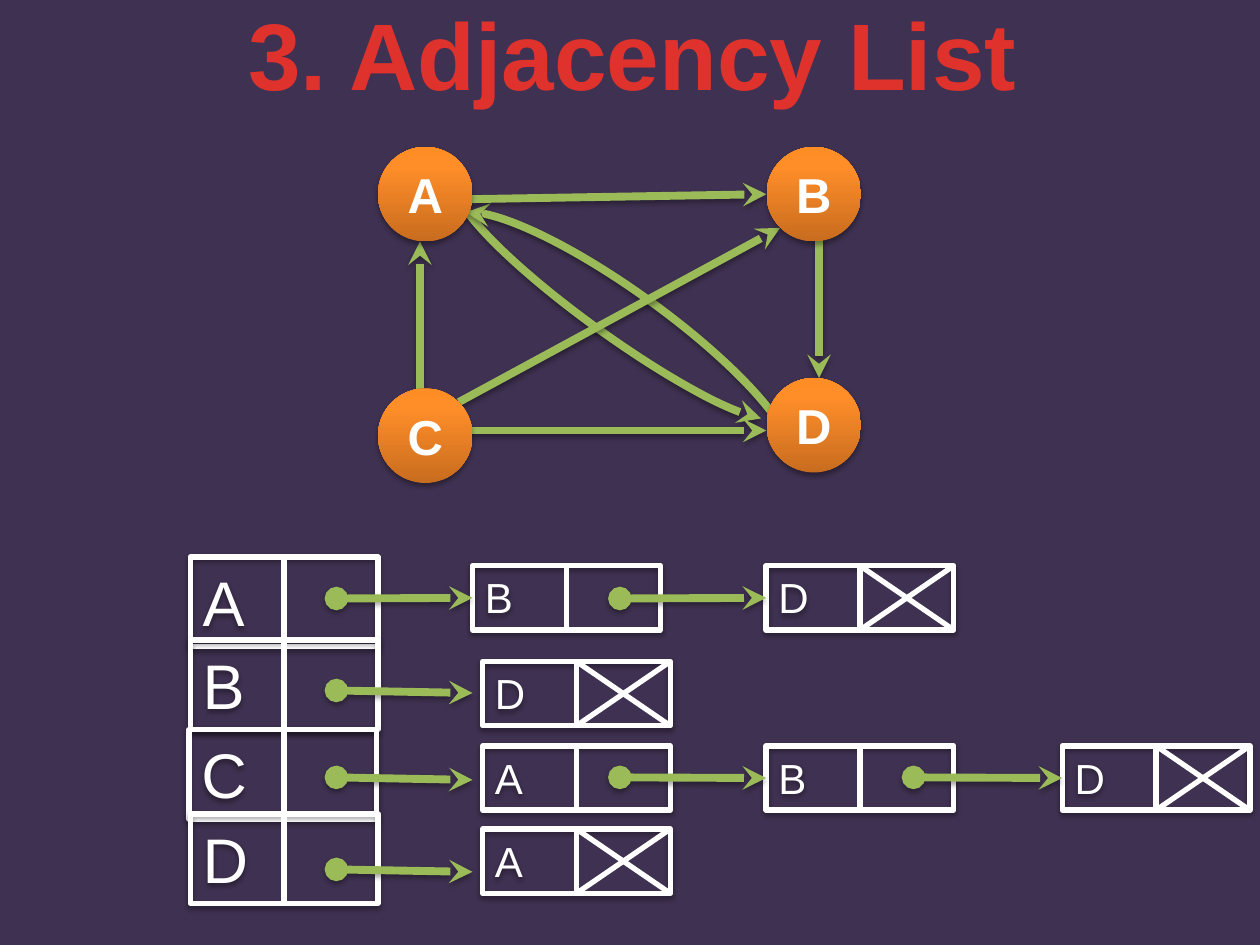
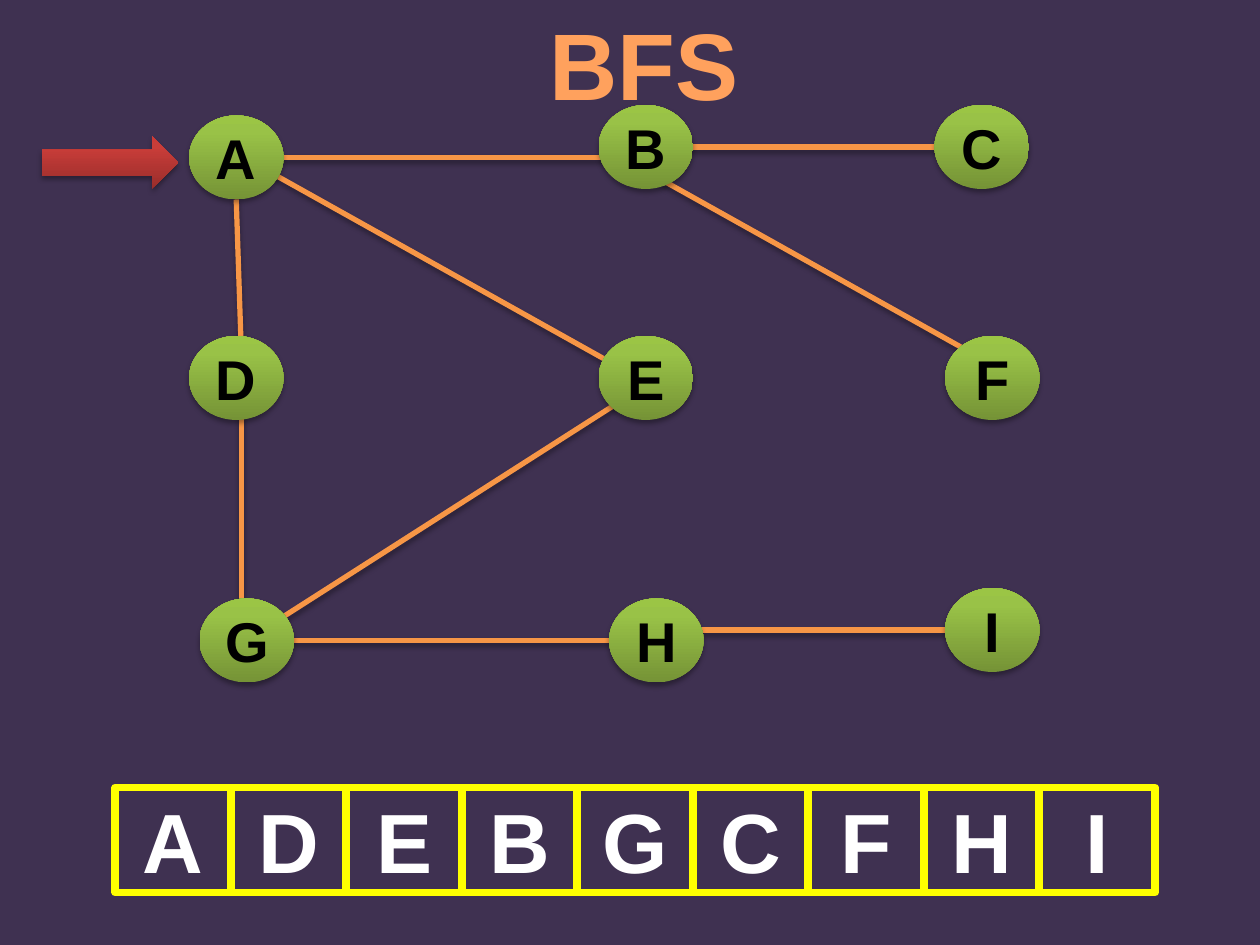
from copy import deepcopy

from lxml.etree import SubElement
from pptx import Presentation
from pptx.dml.color import RGBColor
from pptx.enum.shapes import MSO_CONNECTOR, MSO_SHAPE
from pptx.enum.text import MSO_ANCHOR, PP_ALIGN
from pptx.oxml.ns import qn
from pptx.util import Inches, Pt

BACK = RGBColor(0x3F, 0x31, 0x51)
WHITE = RGBColor(0xFF, 0xFF, 0xFF)
BLACK = RGBColor(0x00, 0x00, 0x00)
RED = RGBColor(0xDF, 0x32, 0x2D)
PEACH = RGBColor(0xFF, 0xA1, 0x5D)
GREEN = RGBColor(0x9B, 0xBB, 0x59)
AMBER = RGBColor(0xF7, 0x96, 0x46)
YELLOW = RGBColor(0xFF, 0xFF, 0x00)

# Gradient colours, from the foot of the shape to its top
ORANGE = [RGBColor(0xC8, 0x6C, 0x1F), RGBColor(0xFF, 0x8E, 0x29), RGBColor(0xFF, 0x8D, 0x25)]
LIME = [RGBColor(0x75, 0x93, 0x36), RGBColor(0x99, 0xC2, 0x47), RGBColor(0x9B, 0xC5, 0x45)]
BRICK = [RGBColor(0x99, 0x2D, 0x2B), RGBColor(0xC9, 0x3D, 0x39), RGBColor(0xCD, 0x3A, 0x36)]
STOPS = (0, 0.8, 1)

FONT = "Arial"
WIDE, HIGH = 10, 7.5
GRID = 12  # grid steps to the inch
SOFT, FAINT = (35, 1.8), (38, 1.6)  # shadow strength in percent, drop in points

# Graphs: places in grid steps
LIST_NODES = {"A": (36, 14), "D": (73, 36), "B": (73, 14), "C": (36, 37)}
LIST_EDGES = [
    (40, 39, 40, 23), (43.7, 38.3, 74.3, 21.7), (78, 22, 78, 36),
    (43, 41, 73, 41), (43, 19, 73, 18.5),
]
ARCS = [((4.63, 0.82, 0.55, 3.13), 305.8), ((4.54, 1.05, 0.77, 3.29), 125.8)]

BFS_NODES = {
    "A": (18, 11), "B": (57, 10), "C": (89, 10),
    "D": (18, 32), "E": (57, 32), "F": (90, 32),
    "G": (19, 57), "H": (58, 57), "I": (90, 56),
}
BFS_EDGES = [
    (22.5, 19, 23, 34), (25, 60, 61, 37), (25, 16, 59, 35),
    (61, 16, 95, 35), (63, 60, 97, 60), (25, 61, 59, 61),
    (63, 14, 97, 14), (25, 15, 59, 15), (23, 38, 23, 59),
]
ORDER = "ADEBGCFHI"

# Linked lists: head, its left and top, arrow height, top of the cells, cells
ROWS = [
    ("A", 1.51, 4.42, 4.75, 4.49, [("B", 3.75), ("D", 6.08)]),
    ("B", 1.51, 5.08, 5.48, 5.25, [("D", 3.83)]),
    ("C", 1.50, 5.79, 6.17, 5.92, [("A", 3.83), ("B", 6.08), ("D", 8.43)]),
    ("D", 1.51, 6.46, 6.90, 6.58, [("A", 3.83)]),
]
WIRES = [(2.67, 3.75), (4.92, 6.08), (7.25, 8.42)]
CELL, HEAD_H, CELL_H = 1.49, 0.71, 0.51


def steps(*marks):
    return [mark / GRID for mark in marks]


def shade(shape, shadow):
    """Replace the theme's shadow by the given one, or by none."""
    props = shape._element.spPr
    old = props.find(qn("a:effectLst"))
    if old is not None:
        props.remove(old)
    effects = SubElement(props, qn("a:effectLst"))
    if shadow:
        force, drop = shadow
        outer = SubElement(effects, qn("a:outerShdw"), blurRad=str(Pt(3.1)),
                           dist=str(Pt(drop)), dir="5400000", rotWithShape="0")
        tint = SubElement(outer, qn("a:srgbClr"), val=str(BLACK))
        SubElement(tint, qn("a:alpha"), val=str(force * 1000))


def stroke(shape, color, width, head=None, tail=None):
    shape.line.color.rgb = color
    shape.line.width = Pt(width)
    for tag, kind in (("a:headEnd", head), ("a:tailEnd", tail)):
        if kind:
            SubElement(shape.line._get_or_add_ln(), qn(tag), type=kind)


def blend(shape, colors):
    fill = shape.fill
    fill.gradient()
    fill.gradient_angle = 90
    marks = shape._element.spPr.find(qn("a:gradFill")).find(qn("a:gsLst"))
    marks.append(deepcopy(marks[-1]))
    for stop, color, place in zip(fill.gradient_stops, colors, STOPS):
        stop.color.rgb = color
        stop.position = place


def write(shape, text, size, color, bold=True, align=PP_ALIGN.CENTER,
          anchor=MSO_ANCHOR.MIDDLE):
    frame = shape.text_frame
    frame.word_wrap = True
    frame.vertical_anchor = anchor
    para = frame.paragraphs[0]
    para.alignment = align
    run = para.add_run()
    run.text = text
    run.font.name, run.font.size = FONT, Pt(size)
    run.font.bold, run.font.color.rgb = bold, color


def draw(slide, kind, box, colors=None, line=None, shadow=None):
    shape = slide.shapes.add_shape(kind, *map(Inches, box))
    if colors:
        blend(shape, colors)
    else:
        shape.fill.background()
    if line:
        stroke(shape, *line)
    else:
        shape.line.fill.background()
    shade(shape, shadow)
    return shape


def link(slide, ends, color, width, head=None, tail=None, shadow=None):
    line = slide.shapes.add_connector(MSO_CONNECTOR.STRAIGHT, *map(Inches, ends))
    stroke(line, color, width, head, tail)
    shade(line, shadow)
    return line


def nodes(slide, places, high, colors, size, ink):
    for name, (left, top) in places.items():
        box = steps(left, top, 9, high)
        node = draw(slide, MSO_SHAPE.OVAL, box, colors, shadow=SOFT)
        write(node, name, size, ink)


def cell(slide, name, box, size):
    shape = draw(slide, MSO_SHAPE.RECTANGLE, box, line=(WHITE, 3), shadow=FAINT)
    write(shape, name, size, WHITE, False, PP_ALIGN.LEFT, MSO_ANCHOR.TOP)
    return shape


def split(slide, first, last):
    """Draw the line that halves the cells from first down to last."""
    line = link(slide, (0, 0, 1, 1), WHITE, 3)
    line.begin_connect(first, 0)
    line.end_connect(last, 2)


def cross(slide, left, top):
    """Strike out the right half of the cell that ends a list."""
    mid, right, foot = left + CELL / 2, left + CELL, top + CELL_H
    link(slide, (mid, top, right, foot), WHITE, 3)
    link(slide, (mid, foot, right, top), WHITE, 3)


def lists(slide):
    heads = [cell(slide, name, (left, top, CELL, HEAD_H), 36)
             for name, left, top, *_ in ROWS]
    split(slide, heads[0], heads[-1])
    for *_, level, top, chain in ROWS:
        for index, (name, left) in enumerate(chain):
            box = cell(slide, name, (left, top, CELL, CELL_H), 24)
            split(slide, box, box)
            start, tip = WIRES[index]
            slope = 0 if index else 0.02
            wire = link(slide, (start, level, tip, level + slope),
                        GREEN, 4.5, "oval", "stealth", SOFT)
            if abs(tip - left) < 0.02:
                wire.end_connect(box, 1)
        cross(slide, chain[-1][1], top)


def page(deck):
    slide = deck.slides.add_slide(deck.slide_layouts[6])
    slide.background.fill.solid()
    slide.background.fill.fore_color.rgb = BACK
    return slide


def title(slide, text, box, color):
    shape = slide.shapes.add_textbox(*map(Inches, box))
    write(shape, text, 54, color, anchor=MSO_ANCHOR.TOP)


def adjacency(deck):
    slide = page(deck)
    for box, turn in ARCS:
        arc = draw(slide, MSO_SHAPE.ARC, box,
                   line=(GREEN, 4.5, None, "stealth"), shadow=SOFT)
        arc.adjustments[0], arc.adjustments[1] = 162.7, 51.77
        arc.rotation = turn
        arc._element.spPr.find(qn("a:xfrm")).set("flipH", "1")
    for ends in LIST_EDGES:
        link(slide, steps(*ends), GREEN, 4.5, tail="stealth", shadow=SOFT)
    nodes(slide, LIST_NODES, 9, ORANGE, 28, WHITE)
    title(slide, "3. Adjacency List", (1.78, -0.08, 6.48, 1.01), RED)
    lists(slide)


def search(deck):
    slide = page(deck)
    title(slide, "BFS", (4.25, 0, 1.72, 1.01), PEACH)
    for ends in BFS_EDGES:
        link(slide, steps(*ends), AMBER, 3, shadow=SOFT)
    nodes(slide, BFS_NODES, 8, LIME, 32, BLACK)
    draw(slide, MSO_SHAPE.RIGHT_ARROW, steps(4, 13, 13, 5), BRICK, shadow=SOFT)
    for index, name in enumerate(ORDER, 1):
        box = steps(11 * index, 75, 11, 10)
        slot = draw(slide, MSO_SHAPE.RECTANGLE, box, line=(YELLOW, 4.5))
        write(slot, name, 48, WHITE)


def main():
    deck = Presentation()
    deck.slide_width, deck.slide_height = Inches(WIDE), Inches(HIGH)
    adjacency(deck)
    search(deck)
    deck.save("out.pptx")


if __name__ == "__main__":
    main()
